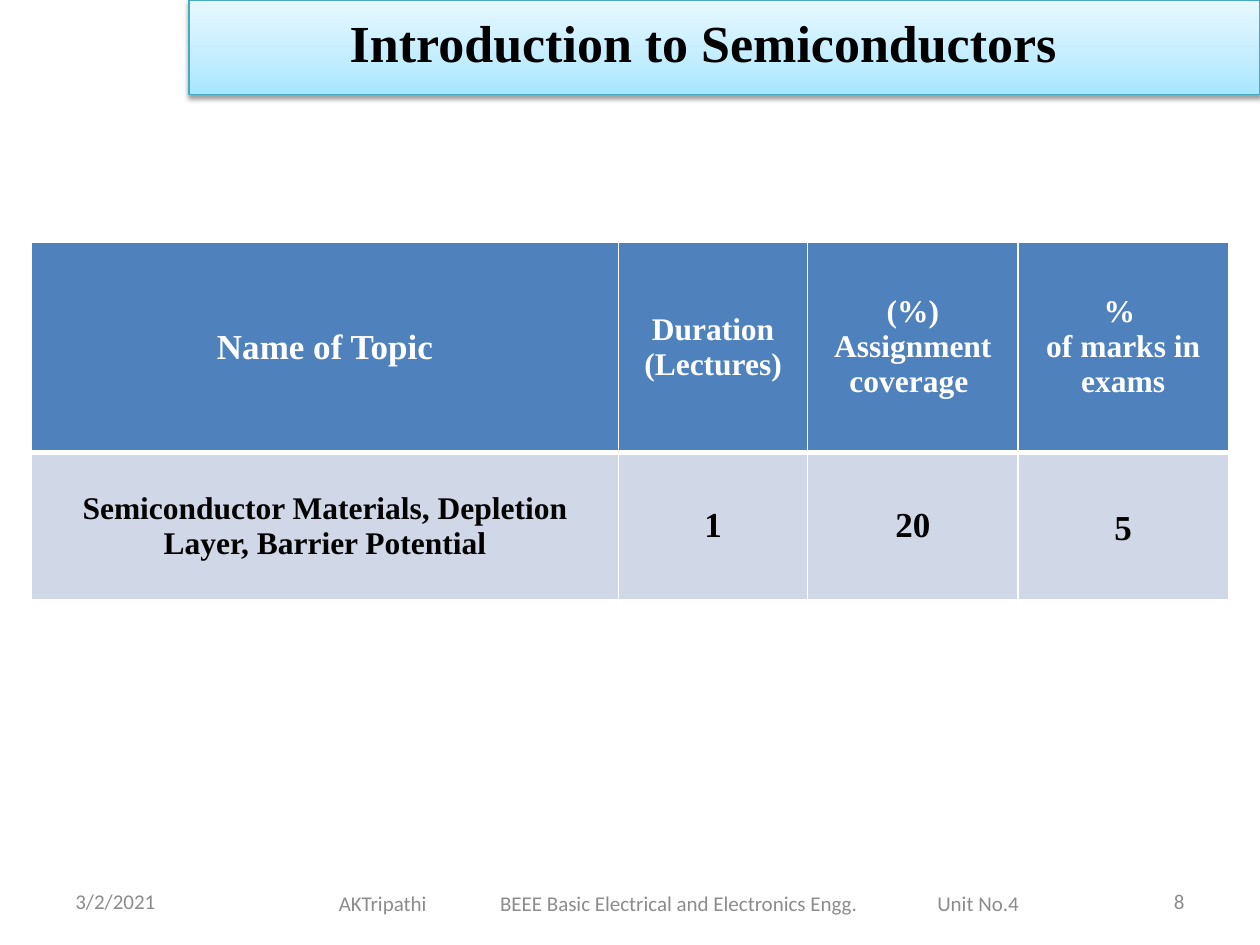
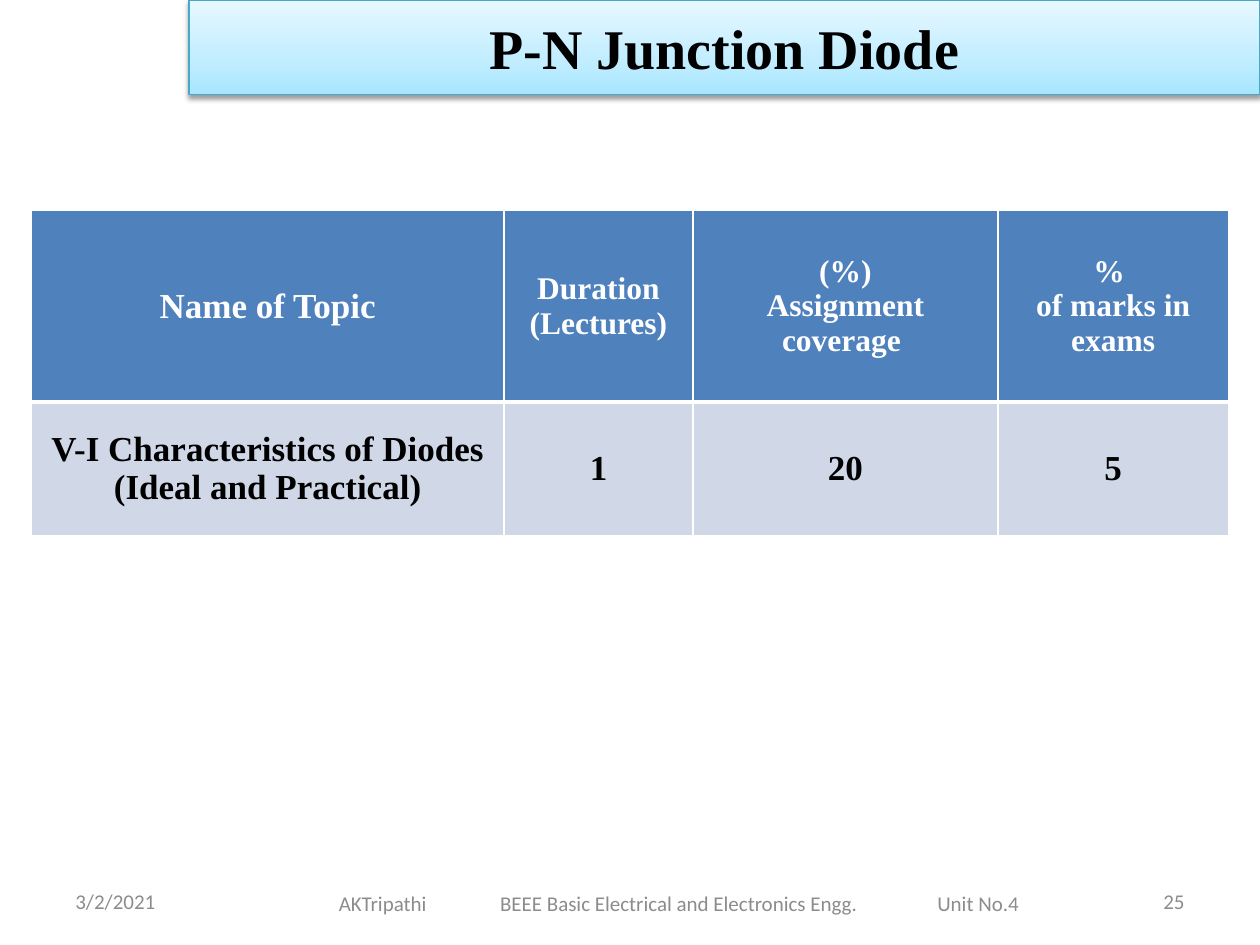
from copy import deepcopy

from lxml.etree import SubElement
from pptx import Presentation
from pptx.dml.color import RGBColor
from pptx.enum.shapes import MSO_SHAPE
from pptx.enum.text import MSO_ANCHOR, PP_ALIGN
from pptx.oxml import parse_xml
from pptx.oxml.ns import nsdecls, qn
from pptx.util import Inches, Pt

BLACK = RGBColor(0x00, 0x00, 0x00)
WHITE = RGBColor(0xFF, 0xFF, 0xFF)
GREY = RGBColor(0x8C, 0x8C, 0x8C)
HEADER_BLUE = RGBColor(0x4F, 0x81, 0xBD)
ROW_BLUE = RGBColor(0xD0, 0xD8, 0xE8)
BAND_LINE = RGBColor(0x46, 0xAA, 0xC5)
BAND_STOPS = [
    (0, RGBColor(0xA7, 0xE6, 0xFF)),
    (0.35, RGBColor(0xC1, 0xED, 0xFF)),
    (1, RGBColor(0xE7, 0xF8, 0xFF)),
]

BOLD_SERIF = {"name": "Times New Roman", "bold": True}
FOOTER_FONT = {"name": "Calibri", "size": Pt(12)}
CENTRED = {"alignment": PP_ALIGN.CENTER}
HEADINGS = [
    ("Name of Topic", 20),
    ("Duration\n(Lectures)", 18),
    ("(%)\nAssignment coverage ", 18),
    ("% \nof marks in exams", 18),
]
FOOTER = "AKTripathi\tBEEE Basic Electrical and Electronics Engg.\tUnit No.4"
FOOTER_TABS = (1.28, 4.75)


class CourseDeck:
    """Holds the shared course style and the slide being built."""

    def __init__(self):
        self.presentation = Presentation()
        self.presentation.slide_width = Inches(10)
        self.presentation.slide_height = Inches(7.5)
        self.slide = None

    def start_slide(self, number):
        self.slide = self.presentation.slides.add_slide(self.presentation.slide_layouts[6])
        self.text((0.5, 6.95, 2.33, 0.4), "3/2/2021", FOOTER_FONT, GREY)
        self.text((7.17, 6.95, 2.33, 0.4), str(number), FOOTER_FONT, GREY,
                  {"alignment": PP_ALIGN.RIGHT})
        self.course_footer()

    def course_footer(self):
        box = self.text((2.59, 6.97, 5.61, 0.4), FOOTER, FOOTER_FONT, GREY)
        properties = box.text_frame.paragraphs[0]._p.get_or_add_pPr()
        tab_list = SubElement(properties, qn("a:tabLst"))
        for position in FOOTER_TABS:
            SubElement(tab_list, qn("a:tab"), pos=str(Inches(position)), algn="l")

    def fill_text(self, frame, text, font, color, layout=None):
        frame.word_wrap = True
        for index, line in enumerate(text.split("\n")):
            paragraph = frame.add_paragraph() if index else frame.paragraphs[0]
            run = paragraph.add_run()
            run.text = line
            for target, values in ((paragraph, layout or {}), (run.font, font)):
                for name, value in values.items():
                    setattr(target, name, value)
            run.font.color.rgb = color

    def text(self, place, text, font, color, layout=None, anchor=MSO_ANCHOR.MIDDLE):
        box = self.slide.shapes.add_textbox(*map(Inches, place))
        box.text_frame.vertical_anchor = anchor
        self.fill_text(box.text_frame, text, font, color, layout)
        return box

    def title_band(self):
        band = self.slide.shapes.add_shape(
            MSO_SHAPE.RECTANGLE, *map(Inches, (1.5, 0, 8.5, 0.75)))
        band.fill.gradient()
        stop_list = band._element.spPr.find(".//" + qn("a:gsLst"))
        stop_list.append(deepcopy(stop_list[0]))
        for stop, (position, color) in zip(band.fill.gradient_stops, BAND_STOPS):
            stop.position = position
            stop.color.rgb = color
        band.fill.gradient_angle = 90
        band.line.color.rgb = BAND_LINE
        band.line.width = Pt(0.75)
        band.shadow.inherit = False
        band._element.spPr.find(qn("a:effectLst")).append(parse_xml(
            f'<a:outerShdw {nsdecls("a")} blurRad="{Pt(3.1)}" dist="{Pt(1.6)}" '
            'dir="5400000" rotWithShape="0"><a:srgbClr val="000000">'
            '<a:alpha val="38000"/></a:srgbClr></a:outerShdw>'))
        band.text_frame.vertical_anchor = MSO_ANCHOR.MIDDLE
        return band

    def cell(self, cell, text, size, fill, color, borders, layout=None):
        cell.fill.solid()
        cell.fill.fore_color.rgb = fill
        cell.vertical_anchor = MSO_ANCHOR.MIDDLE
        self.fill_text(cell.text_frame, text, {**BOLD_SERIF, "size": Pt(size)}, color,
                       {**CENTRED, **(layout or {})})
        for index, (side, width) in enumerate(borders.items()):
            cell._tc.get_or_add_tcPr().insert(index, parse_xml(
                f'<a:ln{side} {nsdecls("a")} w="{Pt(width)}"><a:solidFill>'
                f'<a:srgbClr val="{WHITE}"/></a:solidFill></a:ln{side}>'))

    def topic_table(self, top, widths, heights, topic, topic_size, last_layout=None):
        table = self.slide.shapes.add_table(
            2, 4, *map(Inches, (0.25, top, sum(widths), sum(heights)))).table
        for column, width in zip(table.columns, widths):
            column.width = Inches(width)
        for row, height in zip(table.rows, heights):
            row.height = Inches(height)
        values = [(topic, topic_size), ("1", 20), ("20", 20), ("5", 20)]
        layouts = [None, None, None, last_layout]
        for index, (heading, value) in enumerate(zip(HEADINGS, values)):
            self.cell(table.cell(0, index), *heading, HEADER_BLUE, WHITE,
                      {"L": 1, "R": 1, "T": 1, "B": 3})
            self.cell(table.cell(1, index), *value, ROW_BLUE, BLACK,
                      {"L": 1, "R": 1, "T": 3, "B": 1}, layouts[index])


def main():
    deck = CourseDeck()

    deck.start_slide(8)
    deck.title_band()
    deck.topic_table(1.92, (4.66, 1.5, 1.67, 1.67), (1.67, 1.17),
                     "Semiconductor Materials, Depletion Layer, Barrier Potential", 18,
                     {"line_spacing": 1.15, "space_after": Pt(10)})
    deck.text((1.21, 0.13, 8.75, 0.53), "Introduction to Semiconductors",
              {**BOLD_SERIF, "size": Pt(29.7)}, BLACK,
              {**CENTRED, "line_spacing": 0.8}, MSO_ANCHOR.TOP)

    deck.start_slide(25)
    band = deck.title_band()
    deck.fill_text(band.text_frame, "P-N Junction Diode",
                   {**BOLD_SERIF, "size": Pt(32)}, BLACK, CENTRED)
    deck.topic_table(1.67, (3.75, 1.5, 2.42, 1.83), (1.52, 1.06),
                     "V-I Characteristics of Diodes (Ideal and Practical)", 20)

    deck.presentation.save("out.pptx")


if __name__ == "__main__":
    main()
